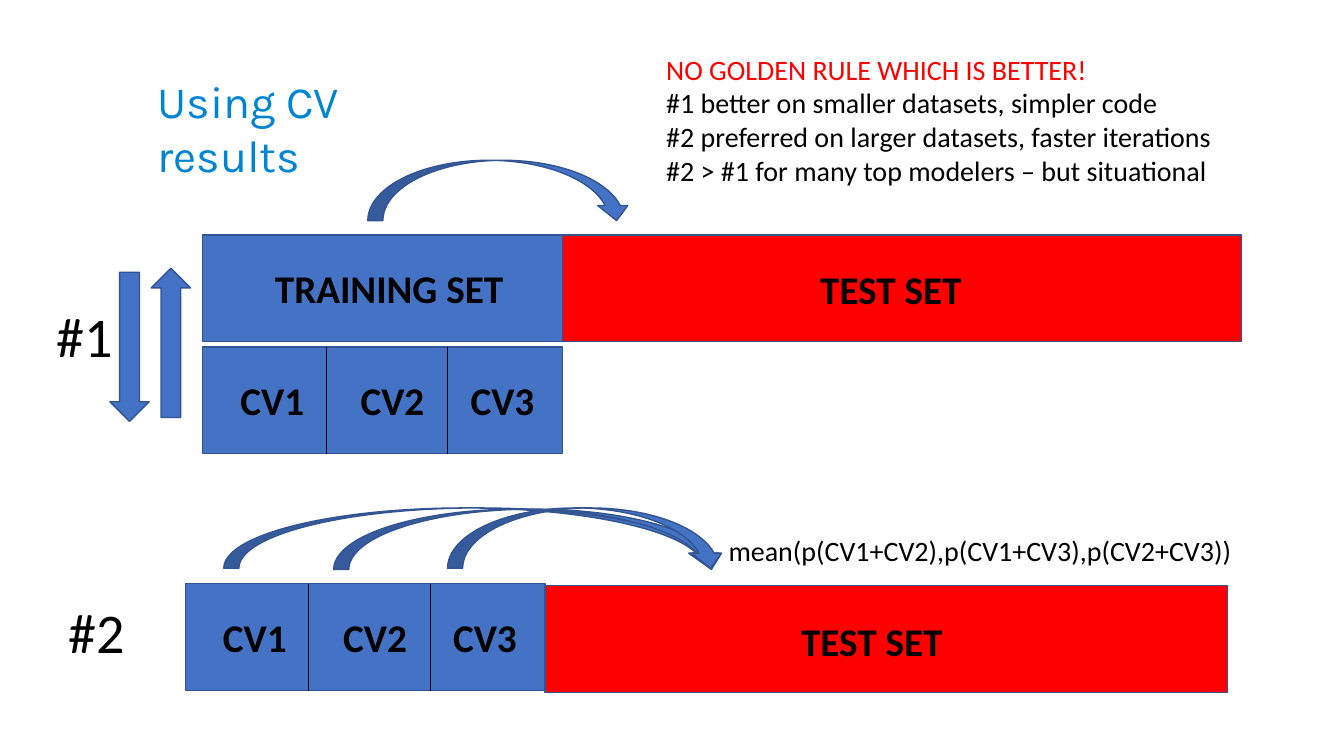
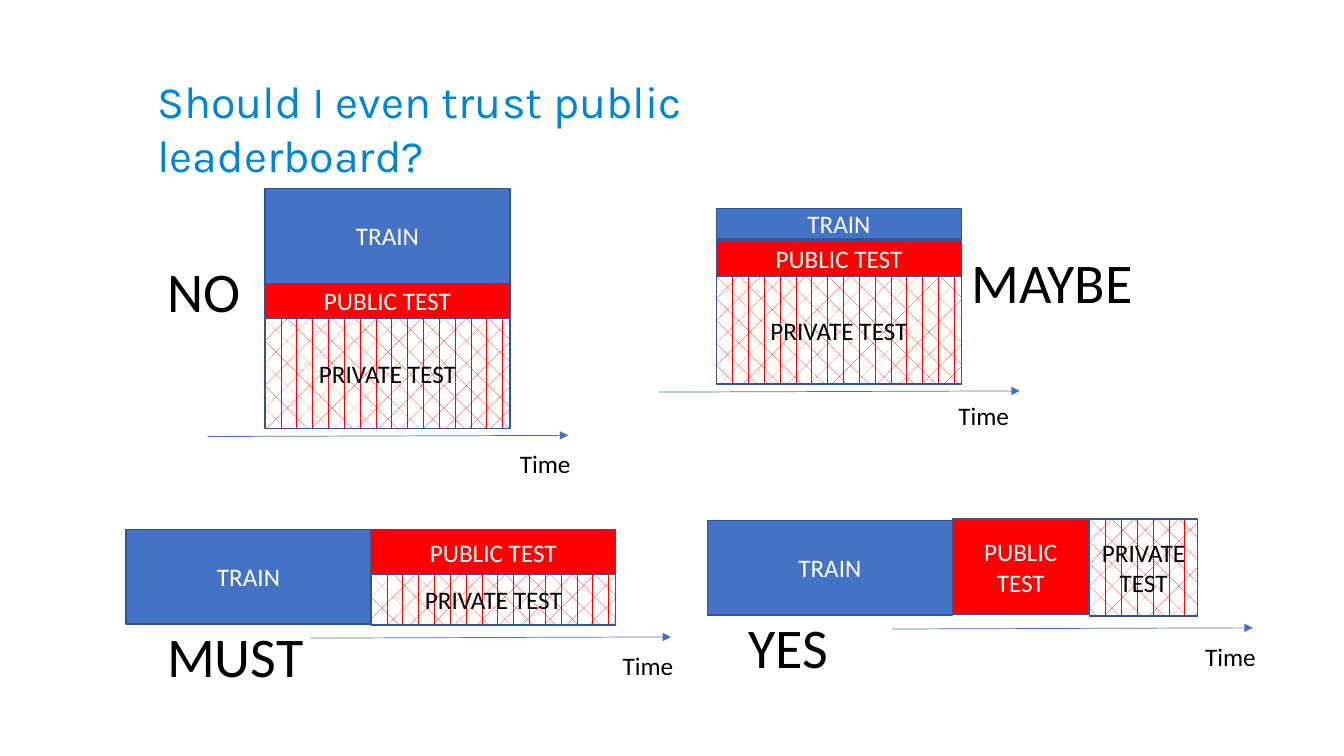
from dataclasses import dataclass

from lxml import etree
from pptx import Presentation
from pptx import util as u
from pptx.dml.color import RGBColor
from pptx.enum import dml, shapes, text
from pptx.oxml.ns import qn
from pptx.util import Cm


@dataclass(frozen=True)
class Theme:
    blue: RGBColor = RGBColor(0x44, 0x72, 0xC4)
    edge: RGBColor = RGBColor(0x32, 0x54, 0x91)
    red: RGBColor = RGBColor(0xFF, 0x00, 0x00)
    black: RGBColor = RGBColor(0x00, 0x00, 0x00)
    white: RGBColor = RGBColor(0xFF, 0xFF, 0xFF)
    heading: RGBColor = RGBColor(0x00, 0x85, 0xD2)
    heading_font: str = "Karla"
    body_font: str = "Calibri"
    heading_size: int = 32
    verdict_size: int = 40
    set_size: int = 28
    note_size: int = 20
    block_size: int = 18


theme = Theme()
GEOMETRY = shapes.MSO_SHAPE


def put(parent, at, lines=(), size=theme.block_size, bold=False, geometry=None, fill=None):
    """Add a text box, or a filled shape with centred text; lines are (words, colour) pairs."""
    place = [Cm(length) for length in at]
    if geometry is None:
        item = parent.add_textbox(*place)
    else:
        item = parent.add_shape(geometry, *place)
        item.shadow.inherit = False
        item.line.color.rgb = theme.edge
        item.line.width = u.Pt(1)
        if fill is None:
            item.fill.patterned()
            item.fill.pattern = dml.MSO_PATTERN.DIVOT
            item.fill.fore_color.rgb = theme.red
            item.fill.back_color.rgb = theme.white
        else:
            item.fill.solid()
            item.fill.fore_color.rgb = fill
    frame = item.text_frame
    frame.word_wrap = True
    for number, (words, colour) in enumerate(lines):
        paragraph = frame.add_paragraph() if number else frame.paragraphs[0]
        paragraph.alignment = text.PP_ALIGN.CENTER if geometry else text.PP_ALIGN.LEFT
        run = paragraph.add_run()
        run.text = words
        run.font.name = theme.body_font
        run.font.size = u.Pt(size)
        run.font.bold = bold
        run.font.color.rgb = colour
    return item


def rule(parent, start, end, colour, arrow=False):
    """Draw a thin straight line, with an arrowhead at its end if asked."""
    line = parent.add_connector(
        shapes.MSO_CONNECTOR.STRAIGHT, *[Cm(length) for length in (*start, *end)])
    line.line.color.rgb = colour
    line.line.width = u.Pt(0.5)
    if arrow:
        etree.SubElement(line.line._get_or_add_ln(), qn("a:tailEnd"), type="triangle")
    etree.SubElement(line._element.spPr, qn("a:effectLst"))


deck = Presentation()
deck.slide_width, deck.slide_height = Cm(33.87), Cm(19.05)

# Slides and their titles
canvases = []
for heading, width in (("Using CV results", 7.95),
                       ("Should I even trust public leaderboard?", 18.72)):
    slide = deck.slides.add_slide(deck.slide_layouts[5])
    title = slide.shapes.title
    title.left, title.top, title.width, title.height = Cm(3.71), Cm(1.73), Cm(width), Cm(1.63)
    title.text_frame.word_wrap = True
    title.text_frame.auto_size = text.MSO_AUTO_SIZE.NONE
    title.text_frame.vertical_anchor = text.MSO_ANCHOR.TOP
    title.text_frame.paragraphs[0].alignment = text.PP_ALIGN.LEFT
    heading_run = title.text_frame.paragraphs[0].add_run()
    heading_run.text = heading
    heading_run.font.name = theme.heading_font
    heading_run.font.size = u.Pt(theme.heading_size)
    heading_run.font.color.rgb = theme.heading
    canvases.append(slide.shapes)
cv_canvas, trust_canvas = canvases

# Slide 1: training and test sets of both approaches
SET_HEIGHT, TRAIN_WIDTH = 2.69, 9.07
for at, colour in (((5.11, 5.92, TRAIN_WIDTH, SET_HEIGHT), theme.blue),
                   ((14.17, 5.92, 17.12, SET_HEIGHT), theme.red),
                   ((13.74, 14.76, 17.2, SET_HEIGHT), theme.red)):
    put(cv_canvas, at, geometry=GEOMETRY.RECTANGLE, fill=colour)
for left, top, width, words in ((6.68, 6.53, 6.35, "TRAINING SET"),
                                (20.42, 6.55, 4.3, "TEST SET"),
                                (19.94, 15.44, 4.3, "TEST SET")):
    put(cv_canvas, (left, top, width, 1.45), [(words, theme.black)], theme.set_size, True)

# Cross-validation folds
for left, top in ((5.11, 8.74), (4.67, 14.71)):
    put(cv_canvas, (left, top, TRAIN_WIDTH, SET_HEIGHT),
        geometry=GEOMETRY.RECTANGLE, fill=theme.blue)
    for divider in (3.11, 6.17):
        rule(cv_canvas, (left + divider, top), (left + divider, top + SET_HEIGHT), theme.black)
    for fold, (shift, drop) in enumerate(((0.7, 0.63), (3.73, 0.63), (6.5, 0.61)), 1):
        put(cv_canvas, (left + shift, top + drop, 2.2, 1.45),
            [(f"CV{fold}", theme.black)], theme.set_size, True)

# Arrows between the sets
for left, top, turn in ((3.81, 6.76, 180), (2.77, 6.86, 0)):
    exchange = put(cv_canvas, (left, top, 0.99, 3.76),
                   geometry=GEOMETRY.DOWN_ARROW, fill=theme.blue)
    exchange.rotation = turn
for left, top, right in ((9.27, 4.04, 15.92), (5.64, 12.8, 18.31),
                         (8.41, 12.83, 18.31), (11.28, 12.8, 18.29)):
    put(cv_canvas, (left, top, right - left, 1.52),
        geometry=GEOMETRY.CURVED_DOWN_ARROW, fill=theme.blue)

# Notes and approach numbers
put(cv_canvas, (16.54, 1.19, 14.4, 3.68),
    [("NO GOLDEN RULE WHICH IS BETTER!", theme.red),
     ("#1 better on smaller datasets, simpler code", theme.black),
     ("#2 preferred on larger datasets, faster iterations", theme.black),
     ("#2 > #1 for many top modelers – but situational", theme.black)], theme.note_size)
put(cv_canvas, (18.11, 13.31, 15.5, 1.12),
    [("mean(p(CV1+CV2),p(CV1+CV3),p(CV2+CV3))", theme.black)], theme.note_size)
for left, top, number in ((1.17, 7.47, "#1"), (1.47, 14.94, "#2")):
    put(cv_canvas, (left, top, 2.1, 1.96), [(number, theme.black)], theme.verdict_size)

# Slide 2: how the data is split over time, with a verdict for each split
BLOCKS = (("TRAIN", theme.white, theme.blue),
          ("PUBLIC TEST", theme.white, theme.red),
          ("PRIVATE TEST", theme.black, None))
COLUMN, AXIS_LENGTH, AXIS_RISE = 6.17, 9.09, 0.03
# verdict, its place, blocks, axis start, place of the time label
scenarios = (
    ("NO", (3.96, 6.35),
     ((6.68, 4.75, COLUMN, 2.39), (6.68, 7.14, COLUMN, 0.86), (6.68, 8.03, COLUMN, 2.77)),
     (5.23, 11), (12.85, 11.18)),
    ("MAYBE", (24.23, 6.12),
     ((18.06, 5.26, COLUMN, 0.76), (18.06, 6.07, COLUMN, 0.89), (18.06, 6.96, COLUMN, 2.72)),
     (16.61, 9.88), (23.9, 9.96)),
    ("MUST", (3.96, 15.54),
     ((3.18, 13.34, COLUMN, 2.39), (9.35, 13.34, COLUMN, 1.14), (9.35, 14.48, COLUMN, 1.27)),
     (7.82, 16.08), (15.44, 16.26)),
    ("YES", (18.62, 15.32),
     ((17.83, 13.11, COLUMN, 2.39), (24, 13.08, 3.45, 2.41), (27.46, 13.08, 2.72, 2.44)),
     (22.48, 15.85), (30.12, 16.03)),
)
for verdict, verdict_at, places, (axis_left, axis_top), time_at in scenarios:
    split = trust_canvas.add_group_shape().shapes
    for at, (words, ink, colour) in zip(places, BLOCKS):
        put(split, at, [(words, ink)], geometry=GEOMETRY.RECTANGLE, fill=colour)
    rule(split, (axis_left, axis_top), (axis_left + AXIS_LENGTH, axis_top - AXIS_RISE),
         theme.blue, arrow=True)
    put(split, (*time_at, 1.9, 1.02), [("Time", theme.black)])
    put(split, (*verdict_at, 4.8, 1.96), [(verdict, theme.black)], theme.verdict_size)

deck.save("out.pptx")
